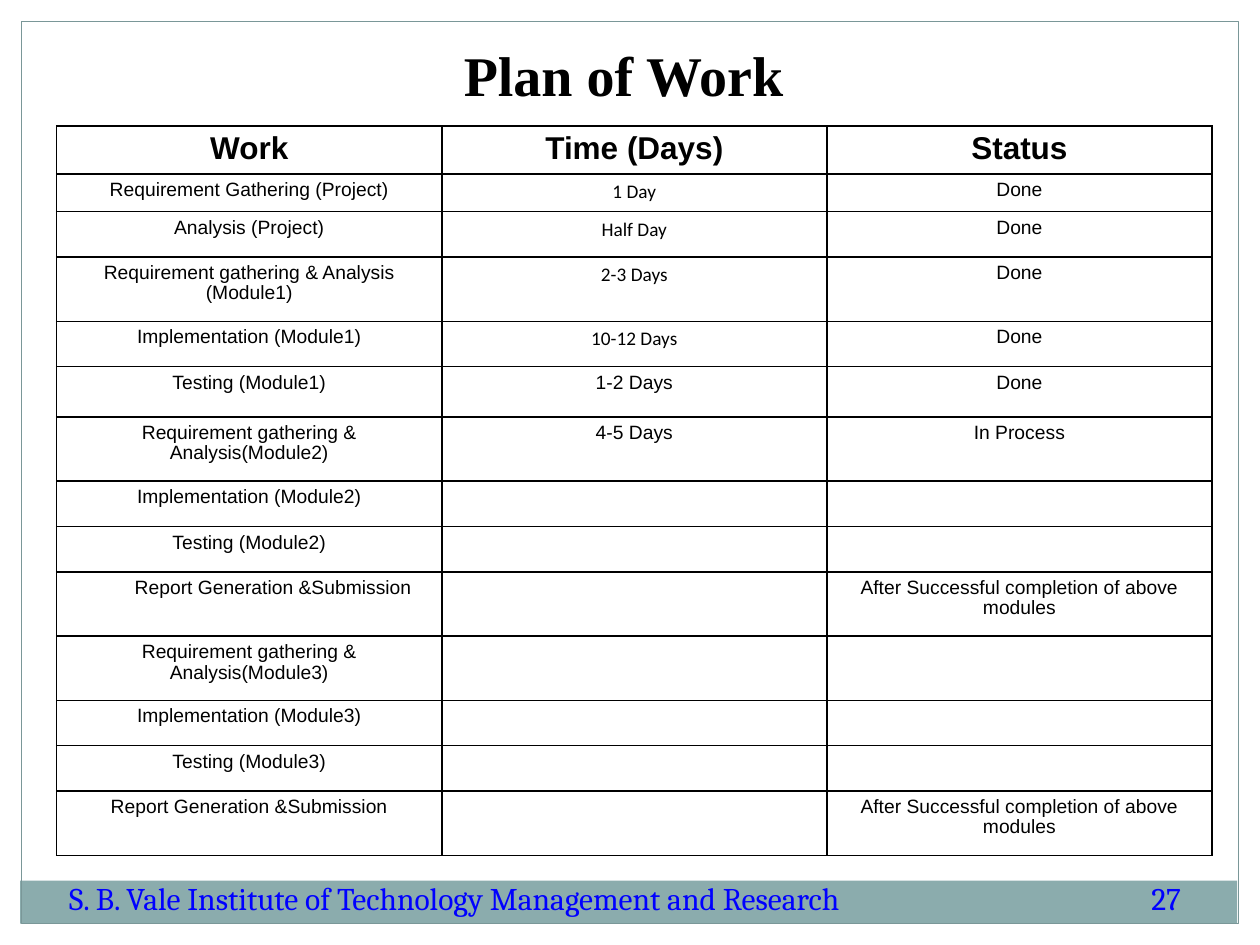
from dataclasses import dataclass

from lxml.etree import SubElement
from pptx import Presentation
from pptx.dml.color import RGBColor
from pptx.enum.shapes import MSO_SHAPE
from pptx.enum.text import MSO_ANCHOR, PP_ALIGN
from pptx.oxml.ns import qn
from pptx.util import Inches, Pt


@dataclass(frozen=True)
class Theme:
    black: str = "000000"
    band: str = "8BACAD"
    frame: str = "7A9798"
    footer: str = "0000FF"
    title_font: str = "Times New Roman"
    body_font: str = "Arial"
    days_font: str = "Calibri"
    footer_font: str = "Cambria"
    title_size: float = 32
    head_size: float = 18
    body_size: float = 11
    footer_size: float = 18
    border: float = 1


@dataclass(frozen=True)
class Box:
    left: float
    top: float
    width: float
    height: float

    def emu(self) -> tuple:
        return tuple(Inches(v) for v in (self.left, self.top, self.width, self.height))


@dataclass(frozen=True)
class Task:
    work: str
    height: float
    days: str = ""
    status: str = ""
    days_font: str = "Arial"
    indent: float = 0


THEME = Theme()
SHORT, TALL = 0.36, 0.51
HEAD_HEIGHT = 0.38
HEADINGS = ("Work", "Time (Days)", "Status")
LATER = "After Successful completion of above modules"
TASKS = (
    Task("Requirement Gathering (Project)", 0.3, "1 Day", "Done", THEME.days_font),
    Task("Analysis (Project)", SHORT, "Half Day", "Done", THEME.days_font),
    Task("Requirement gathering & Analysis (Module1)", TALL, "2-3 Days", "Done", THEME.days_font),
    Task("Implementation (Module1)", SHORT, "10-12 Days", "Done", THEME.days_font),
    Task("Testing (Module1)", 0.4, "1-2 Days", "Done"),
    Task("Requirement gathering & Analysis(Module2)", TALL, "4-5 Days", "In Process"),
    Task("Implementation (Module2)", SHORT),
    Task("Testing (Module2)", SHORT),
    Task("Report Generation &Submission", TALL, status=LATER, indent=0.38),
    Task("Requirement gathering & Analysis(Module3)", TALL),
    Task("Implementation (Module3)", SHORT),
    Task("Testing (Module3)", SHORT),
    Task("Report Generation &Submission", TALL, status=LATER),
)


def style(p, font: str, size: float, color: str, bold: bool = False) -> None:
    for r in p.runs:
        r.font.name = font
        r.font.size = Pt(size)
        r.font.bold = bold
        r.font.color.rgb = RGBColor.from_string(color)


def add_rect(s, box: Box, fill: str = "", line: str = "") -> None:
    sp = s.shapes.add_shape(MSO_SHAPE.RECTANGLE, *box.emu())
    sp.shadow.inherit = False
    if fill:
        sp.fill.solid()
        sp.fill.fore_color.rgb = RGBColor.from_string(fill)
    else:
        sp.fill.background()
    if line:
        sp.line.color.rgb = RGBColor.from_string(line)
        sp.line.width = Pt(0.75)
    else:
        sp.line.fill.background()


def add_title(s, text: str, box: Box) -> None:
    sp = s.shapes.title
    sp.left, sp.top, sp.width, sp.height = box.emu()
    tf = sp.text_frame
    tf.text = text
    tf.vertical_anchor = MSO_ANCHOR.MIDDLE
    p = tf.paragraphs[0]
    p.alignment = PP_ALIGN.CENTER
    style(p, THEME.title_font, THEME.title_size, THEME.black, bold=True)


def add_footer_text(s, text: str, box: Box) -> None:
    tf = s.shapes.add_textbox(*box.emu()).text_frame
    tf.word_wrap = True
    tf.vertical_anchor = MSO_ANCHOR.MIDDLE
    tf.text = text
    style(tf.paragraphs[0], THEME.footer_font, THEME.footer_size, THEME.footer)


def add_borders(cell) -> None:
    tc_pr = cell._tc.get_or_add_tcPr()
    for side in ("a:lnL", "a:lnR", "a:lnT", "a:lnB"):
        ln = SubElement(tc_pr, qn(side), w=str(Pt(THEME.border)))
        SubElement(SubElement(ln, qn("a:solidFill")), qn("a:srgbClr"), val=THEME.black)


def fill_cell(cell, text: str, font: str, size: float, bold: bool = False, indent: float = 0) -> None:
    add_borders(cell)
    cell.fill.background()
    cell.margin_left = cell.margin_right = Inches(0.08)
    cell.margin_top = cell.margin_bottom = Inches(0.05)
    p = cell.text_frame.paragraphs[0]
    p.text = text
    p.alignment = PP_ALIGN.CENTER
    p.line_spacing = 0.95
    if indent:
        p._p.get_or_add_pPr().set("marL", str(Inches(indent)))
    if text:
        style(p, font, size, THEME.black, bold)
    else:
        # Keeps an empty cell from stretching its row
        SubElement(p._p, qn("a:endParaRPr"), sz=str(int(size * 100)))


def add_plan(s, box: Box) -> None:
    table = s.shapes.add_table(len(TASKS) + 1, len(HEADINGS), *box.emu()).table
    table.first_row = table.horz_banding = False
    for col in table.columns:
        col.width = Inches(box.width / len(HEADINGS))
    table.rows[0].height = Inches(HEAD_HEIGHT)
    for c, heading in enumerate(HEADINGS):
        fill_cell(table.cell(0, c), heading, THEME.body_font, THEME.head_size, bold=True)
    for i, task in enumerate(TASKS, start=1):
        table.rows[i].height = Inches(task.height)
        fill_cell(table.cell(i, 0), task.work, THEME.body_font, THEME.body_size, indent=task.indent)
        fill_cell(table.cell(i, 1), task.days, task.days_font, THEME.body_size)
        fill_cell(table.cell(i, 2), task.status, THEME.body_font, THEME.body_size)


def main() -> None:
    prs = Presentation()
    prs.slide_width, prs.slide_height = Inches(10), Inches(7.5)
    s = prs.slides.add_slide(prs.slide_layouts[5])
    add_rect(s, Box(0.16, 6.99, 9.66, 0.34), fill=THEME.band)
    add_rect(s, Box(0.17, 0.17, 9.66, 7.16), line=THEME.frame)
    add_title(s, "Plan of Work", Box(0.45, 0.25, 9, 0.67))
    height = HEAD_HEIGHT + sum(task.height for task in TASKS)
    add_plan(s, Box(0.45, 1, 9.17, height))
    add_footer_text(s, "S. B. Vale Institute of Technology Management and Research",
                    Box(0.45, 6.75, 7.31, 0.75))
    add_footer_text(s, "27", Box(9.04, 6.75, 0.64, 0.75))
    prs.save("out.pptx")


if __name__ == "__main__":
    main()
